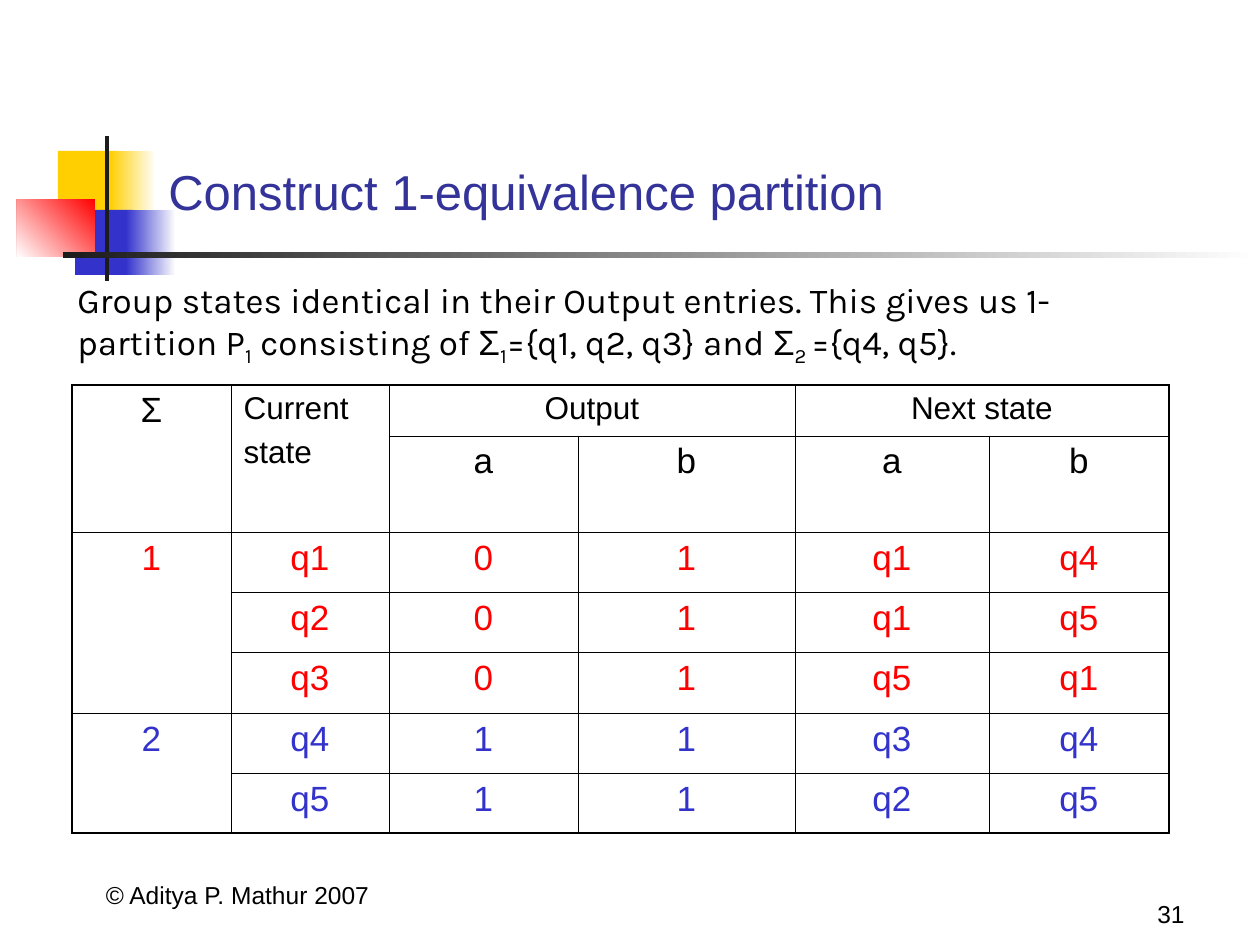
from dataclasses import dataclass

from lxml.etree import SubElement
from pptx import Presentation
from pptx.dml.color import RGBColor as RGB
from pptx.enum.shapes import MSO_SHAPE as Shape
from pptx.enum.text import MSO_ANCHOR as Anchor, PP_ALIGN as Align
from pptx.oxml.ns import qn
from pptx.util import Emu, Pt

PX = 914400 / 126
PLAIN = "{2D5ABB26-0587-4C30-8999-92F81FD0307C}"  # table style without grid


@dataclass(frozen=True)
class Theme:
    black: str = "000000"
    white: str = "FFFFFF"
    dark: str = "1C1C1C"
    gold: str = "FFCF01"
    blue: str = "3333CC"
    red: str = "FF0000"
    navy: str = "333399"
    sans: str = "Arial"
    soft: str = "Karla"
    title: int = 28
    body: int = 20
    head: int = 18
    foot: int = 14
    thin: float = 0.45
    thick: float = 1.08


def px(num):
    return Emu(round(num * PX))


def write(frame, *lines, size, color, font="Arial", align=Align.LEFT, gap=0):
    """Each line is a string or a list of (text, font, baseline) runs."""
    for num, line in enumerate(lines):
        para = frame.add_paragraph() if num else frame.paragraphs[0]
        para.alignment = align
        if num and gap:
            para.space_before = Pt(gap)
        runs = [(line, font, 0)] if isinstance(line, str) else line
        for text, face, base in runs:
            run = para.add_run()
            run.text = text
            run.font.size = Pt(size)
            run.font.name = face
            run.font.color.rgb = RGB.from_string(color)
            if base:
                run.font._element.set("baseline", str(base * 1000))


class Deck:
    def __init__(self, theme):
        self.theme = theme
        self.show = Presentation()
        self.show.slide_width, self.show.slide_height = px(1260), px(945)
        self.slide = self.show.slides.add_slide(self.show.slide_layouts[6])

    def block(self, x, y, w, h, *colors, angle=180):
        """One colour gives a solid fill, two give a gradient."""
        box = self.slide.shapes.add_shape(Shape.RECTANGLE, px(x), px(y), px(w), px(h))
        box.shadow.inherit = False
        box.line.fill.background()
        if len(colors) == 1:
            box.fill.solid()
            box.fill.fore_color.rgb = RGB.from_string(colors[0])
            return
        box.fill.gradient()
        box.fill.gradient_angle = angle
        for stop, color in zip(box.fill.gradient_stops, colors):
            stop.color.rgb = RGB.from_string(color)

    def text(self, x, y, w, h, *lines, anchor=Anchor.BOTTOM, **form):
        frame = self.slide.shapes.add_textbox(px(x), px(y), px(w), px(h)).text_frame
        frame.word_wrap = True
        frame.vertical_anchor = anchor
        write(frame, *lines, **form)

    def table(self, x, y, cols, rows, merges):
        table = self.slide.shapes.add_table(
            len(rows), len(cols), px(x), px(y), px(sum(cols)), px(sum(rows))).table
        table.first_row = table.horz_banding = False
        table._tbl.tblPr.find(qn("a:tableStyleId")).text = PLAIN
        for col, width in zip(table.columns, cols):
            col.width = px(width)
        for row, height in zip(table.rows, rows):
            row.height = px(height)
        for top, left, low, right in merges:
            table.cell(top, left).merge(table.cell(low, right))
        for r in range(len(rows)):
            for c in range(len(cols)):
                cell = table.cell(r, c)
                self.edges(cell, L=c == 0, R=c + cell.span_width == len(cols),
                           T=r == 0, B=r + cell.span_height == len(rows))
                cell.fill.background()
        return table

    def edges(self, cell, **outer):
        props = cell._tc.get_or_add_tcPr()
        for side, rim in outer.items():
            if cell.is_spanned and not rim:
                continue
            width = self.theme.thick if rim else self.theme.thin
            line = SubElement(props, qn(f"a:ln{side}"), w=str(Pt(width)))
            fill = SubElement(line, qn("a:solidFill"))
            SubElement(fill, qn("a:srgbClr"), val=self.theme.black)


def main():
    look = Theme()
    deck = Deck(look)

    # Corner ornament and rule
    deck.block(58, 151, 60, 66, look.gold)
    deck.block(110, 151, 46, 66, look.white, look.gold)
    deck.block(75, 210, 58, 65, look.blue)
    deck.block(126, 210, 50, 65, look.white, look.blue)
    deck.block(17, 199, 78, 58, look.red, look.white, angle=225)
    deck.block(105, 136, 4, 145, look.dark)
    deck.block(63, 252, 1197, 6, look.white, look.dark)

    # Footer
    foot = dict(size=look.foot, color=look.black)
    deck.text(38, 853, 399, 63, "© Aditya P. Mathur 2007", align=Align.CENTER, **foot)
    deck.text(935, 872, 262, 63, "31", align=Align.RIGHT, **foot)

    # Title and lead text
    deck.text(156, 137, 1074, 90, "Construct 1-equivalence partition",
              size=look.title, color=look.navy)
    soft, sans = look.soft, look.sans
    lead = [
        ("Group states identical in their Output entries. "
         "This gives us 1-partition P", soft, 0),
        ("1", soft, -25), (" consisting of ", soft, 0),
        ("Σ", sans, 0), ("1", soft, -25), ("={q1, q2, q3} and ", soft, 0),
        ("Σ", sans, 0), ("2 ", soft, -25), ("={q4, q5}.", soft, 0),
    ]
    deck.text(65, 272, 1113, 103, lead, anchor=Anchor.TOP,
              size=look.body, color=look.black)

    # State table
    merges = [(0, 0, 1, 0), (0, 1, 1, 1), (0, 2, 0, 3), (0, 4, 0, 5),
              (2, 0, 4, 0), (5, 0, 6, 0)]
    table = deck.table(72, 385, [159, 158, 189, 217, 194, 180],
                       [51, 96, 60, 60, 61, 60, 60], merges)

    # Headings
    head = dict(size=look.head, color=look.black)
    write(table.cell(0, 1).text_frame, "Current", "state", gap=4.5, **head)
    for col, name in ((2, "Output"), (4, "Next state")):
        write(table.cell(0, col).text_frame, name, align=Align.CENTER, **head)

    # Sigma, letters and states
    grid = [
        ("Σ", "", "", "", "", ""),
        ("", "", "a", "b", "a", "b"),
        ("1", "q1", "0", "1", "q1", "q4"),
        ("", "q2", "0", "1", "q1", "q5"),
        ("", "q3", "0", "1", "q5", "q1"),
        ("2", "q4", "1", "1", "q3", "q4"),
        ("", "q5", "1", "1", "q2", "q5"),
    ]
    inks = [look.black] * 2 + [look.red] * 3 + [look.blue] * 2
    for r, (row, ink) in enumerate(zip(grid, inks)):
        for c, word in enumerate(row):
            if word:
                write(table.cell(r, c).text_frame, word, size=look.body,
                      color=ink, align=Align.CENTER)

    deck.show.save("out.pptx")


if __name__ == "__main__":
    main()
